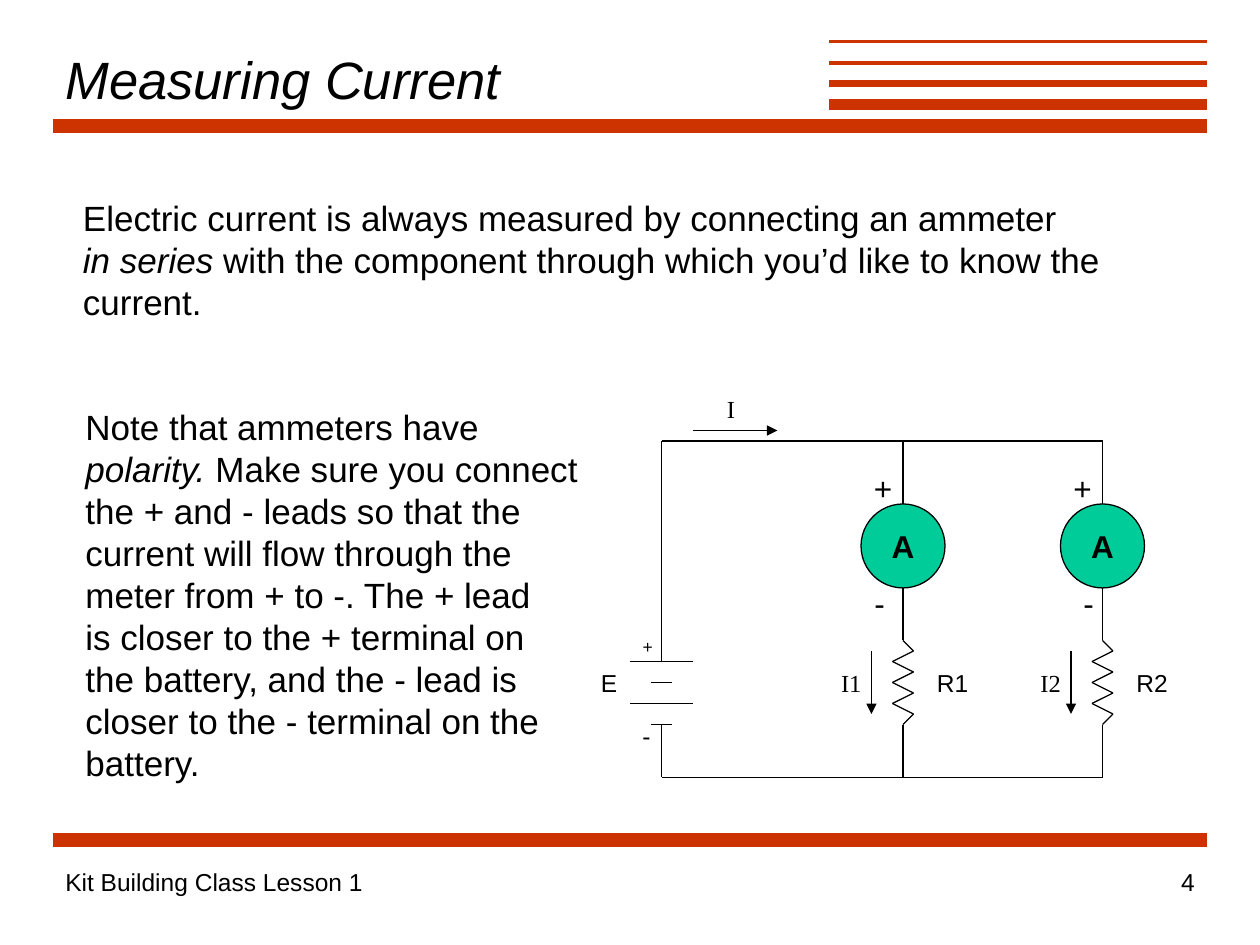
import itertools

import lxml.etree
import pptx
import pptx.dml.color
import pptx.enum.shapes
import pptx.enum.text
import pptx.oxml.ns
import pptx.util
from pptx.util import Inches

RED = "CC3300"
BLACK = "000000"
GREEN = "00CC99"
STEP = 1 / 12
ALIGN = pptx.enum.text.PP_ALIGN
ANCHOR = pptx.enum.text.MSO_ANCHOR


def rgb(hex_color):
    return pptx.dml.color.RGBColor.from_string(hex_color)


def add_line(slide, start, end, color=BLACK, width=0.75, arrow=False):
    line = slide.shapes.add_connector(
        pptx.enum.shapes.MSO_CONNECTOR.STRAIGHT,
        *(Inches(value) for value in (*start, *end)))
    line.line.color.rgb = rgb(color)
    line.line.width = pptx.util.Pt(width)
    properties = line.line._get_or_add_ln()
    if arrow:
        lxml.etree.SubElement(properties, pptx.oxml.ns.qn("a:tailEnd"), type="triangle")
    lxml.etree.SubElement(properties.getparent(), pptx.oxml.ns.qn("a:effectLst"))


def add_polyline(slide, points):
    for start, end in itertools.pairwise(points):
        add_line(slide, start, end)


def write(frame, paragraphs, size, font="Arial", align=ALIGN.LEFT,
          anchor=ANCHOR.TOP, wrap=False, bold=False):
    frame.word_wrap = wrap
    frame.vertical_anchor = anchor
    for index, runs in enumerate(paragraphs):
        paragraph = frame.add_paragraph() if index else frame.paragraphs[0]
        paragraph.alignment = align
        for text, italic in runs:
            run = paragraph.add_run()
            run.text = text
            run.font.name = font
            run.font.size = pptx.util.Pt(size)
            run.font.italic = italic
            run.font.bold = bold
            run.font.color.rgb = rgb(BLACK)


def add_text(slide, box, paragraphs, size, **style):
    frame = slide.shapes.add_textbox(*(Inches(value) for value in box)).text_frame
    write(frame, paragraphs, size, **style)


def add_label(slide, box, text, size=14, **style):
    add_text(slide, box, [[(text, False)]], size, **style)


def add_header(slide, left, top, width):
    right = left + width
    add_line(slide, (left, top + 0.67), (right, top + 0.67), RED, 8)
    for index, thickness in enumerate((1.5, 2.25, 4.5, 6)):
        y = top + index * 2 * STEP
        add_line(slide, (right - 3, y), (right, y), RED, thickness)
    title = slide.shapes.title
    title.left, title.top = Inches(left), Inches(top)
    title.width, title.height = Inches(6.17), Inches(0.58)
    write(title.text_frame, [[("Measuring Current", True)]], 30,
          anchor=ANCHOR.MIDDLE, wrap=True)


def add_footer(slide, left, top, width):
    right = left + width
    add_line(slide, (left, top), (right, top), RED, 8)
    add_label(slide, (left, top + 0.16, 6.92, 0.5), "Kit Building Class Lesson 1", wrap=True)
    add_label(slide, (right - 2.08, top + 0.16, 2.08, 0.5), "4", align=ALIGN.RIGHT, wrap=True)


def add_battery(slide, center, top):
    for index, half_width in enumerate((0.25, STEP, 0.25, STEP)):
        y = top + index * 2 * STEP
        add_line(slide, (center - half_width, y), (center + half_width, y))
    add_label(slide, (center - 0.25, top - 0.25, 0.28, 0.27), "+", 10, align=ALIGN.CENTER)
    add_label(slide, (center - 0.25, top + 0.42, 0.26, 0.34), "-", align=ALIGN.CENTER)
    add_label(slide, (center - 0.58, top, 0.33, 0.34), "E")


def add_branch(slide, center, top, bottom, number, minus_left):
    radius = 4 * STEP
    meter_top = top + 0.5
    meter_bottom = meter_top + 2 * radius
    resistor_top = meter_bottom + 5 * STEP
    sides = (0, *(STEP, -STEP) * 3, STEP, 0)
    zigzag = [(center + side, resistor_top + index * STEP)
              for index, side in enumerate(sides)]

    add_line(slide, (center, top), (center, meter_top))
    add_polyline(slide, [(center, meter_bottom), *zigzag, (center, bottom)])
    add_line(slide, (center - 0.25, resistor_top + STEP),
             (center - 0.25, resistor_top + 7 * STEP), arrow=True)

    meter = slide.shapes.add_shape(
        pptx.enum.shapes.MSO_SHAPE.OVAL, Inches(center - radius), Inches(meter_top),
        Inches(2 * radius), Inches(2 * radius))
    meter.shadow.inherit = False
    meter.fill.solid()
    meter.fill.fore_color.rgb = rgb(GREEN)
    meter.line.color.rgb = rgb(BLACK)
    meter.line.width = pptx.util.Pt(0.75)
    write(meter.text_frame, [[("A", False)]], 18, align=ALIGN.CENTER,
          anchor=ANCHOR.MIDDLE, bold=True)

    label_top = resistor_top + 2 * STEP
    add_label(slide, (center - 0.33, top + 0.17, 0.34, 0.4), "+", 18)
    add_label(slide, (minus_left, meter_bottom - STEP, 0.28, 0.4), "-", 18)
    add_label(slide, (center + 0.17, label_top, 0.45, 0.34), f"R{number}")
    add_label(slide, (center - 0.59, label_top, 0.36, 0.34), f"I{number}",
              font="Times New Roman")


def add_circuit(slide, left, top, width, height):
    right, bottom = left + width, top + height
    battery_top = top + 1.75
    add_polyline(slide, [(left, battery_top), (left, top), (right, top)])
    add_polyline(slide, [(left, battery_top + 0.5), (left, bottom), (right, bottom)])
    add_battery(slide, left, battery_top)
    add_branch(slide, right - 19 * STEP, top, bottom, 1, right - 1.91)
    add_branch(slide, right, top, bottom, 2, right - 0.25)
    add_line(slide, (left + 0.25, top - STEP), (left + 0.92, top - STEP), arrow=True)
    add_label(slide, (left + 0.42, top - 0.42, 0.26, 0.34), "I", font="Times New Roman")


def add_explanation(slide, left, top):
    add_text(slide, (left, top, 8.35, 1.1), [
        [("Electric current is always measured by connecting an ammeter", False)],
        [("in series", True),
         (" with the component through which you’d like to know the", False)],
        [("current.", False)],
    ], 20)
    polarity_lines = (
        "the + and - leads so that the",
        "current will flow through the",
        "meter from + to -. The + lead",
        "is closer to the + terminal on",
        "the battery, and the - lead is",
        "closer to the - terminal on the",
        "battery.",
    )
    add_text(slide, (left + 0.02, top + 1.66, 4.13, 3.1), [
        [("Note that ammeters have", False)],
        [("polarity.", True), (" Make sure you connect", False)],
        *([(line, False)] for line in polarity_lines),
    ], 20)


def main():
    presentation = pptx.Presentation()
    presentation.slide_width, presentation.slide_height = Inches(10), Inches(7.5)
    slide = presentation.slides.add_slide(presentation.slide_layouts[5])
    add_header(slide, 0.42, 0.33, 9.16)
    add_circuit(slide, 5.25, 3.5, 3.5, 2.67)
    add_explanation(slide, 0.56, 1.51)
    add_footer(slide, 0.42, 6.67, 9.16)
    presentation.save("out.pptx")


if __name__ == "__main__":
    main()
